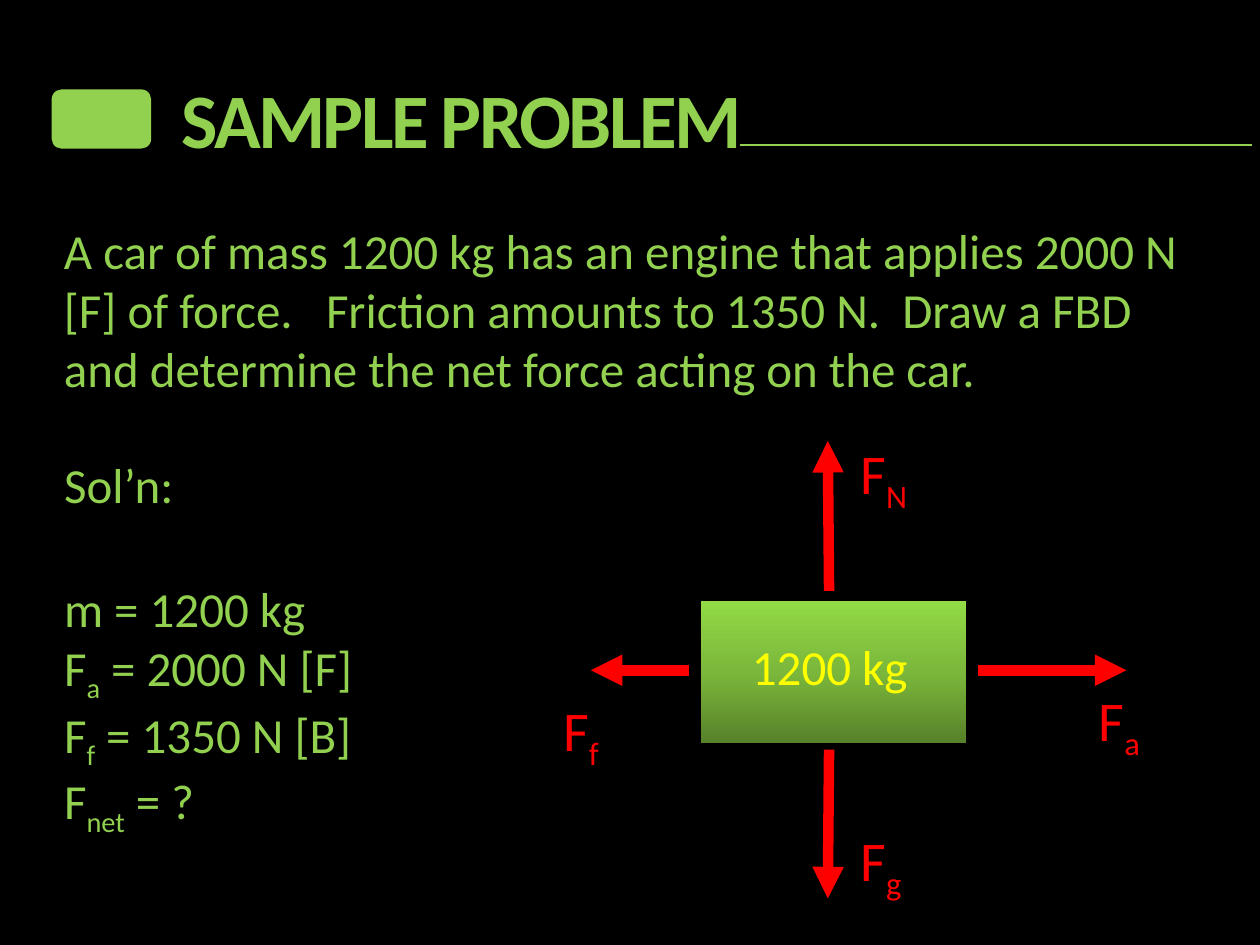
from copy import deepcopy
from lxml.etree import SubElement
from pptx import Presentation
from pptx.dml.color import RGBColor
from pptx.enum.shapes import MSO_CONNECTOR, MSO_SHAPE
from pptx.oxml.ns import qn
from pptx.util import Inches, Pt

GREEN = RGBColor(0x92, 0xD0, 0x50)
RED = RGBColor(0xFF, 0, 0)
YELLOW = RGBColor(0xFF, 0xFF, 0)
BLACK = RGBColor(0, 0, 0)
SHADES = [(0, RGBColor(0x57, 0x81, 0x2A)), (0.5, RGBColor(0x7B, 0xB7, 0x3B)),
          (1, RGBColor(0x92, 0xDA, 0x46))]

deck = Presentation()
deck.slide_width, deck.slide_height = Inches(10), Inches(7.5)
COL, ROW = deck.slide_width / 100, deck.slide_height / 75
slide = deck.slides.add_slide(deck.slide_layouts[6])
slide.background.fill.solid()
slide.background.fill.fore_color.rgb = BLACK
shapes = slide.shapes


def grid(x, y, w, h):
    return [int(n) for n in (x * COL, y * ROW, w * COL, h * ROW)]


def write(area, lines, size, color, wrap=True, **more):
    """Add a text box; the odd parts between underscores are subscripts."""
    frame = shapes.add_textbox(*grid(*area)).text_frame
    frame.word_wrap = wrap
    style = {"name": "Calibri", "size": Pt(size), **more}
    for i, line in enumerate(lines):
        para = frame.add_paragraph() if i else frame.paragraphs[0]
        for j, part in enumerate(line.split("_")):
            run = para.add_run()
            run.text = part
            for key, value in style.items():
                setattr(run.font, key, value)
            run.font.color.rgb = color
            if j % 2:
                run.font._element.set("baseline", "-25000")
    return frame


# Title with its tab and rule
title = write((13.4, 5.2, 86, 8.4), ["SAMPLE PROBLEM"], 44, GREEN, bold=True)
title.paragraphs[0].runs[0].font._element.set("spc", "-150")
tab = shapes.add_shape(MSO_SHAPE.ROUNDED_RECTANGLE, *grid(4.1, 7.1, 7.9, 4.7))
tab.shadow.inherit = False
tab.fill.solid()
tab.fill.fore_color.rgb = GREEN
tab.line.fill.background()

# Problem and given values
write((4.1, 17, 92.3, 15.1),
      ["A car of mass 1200 kg has an engine that applies 2000 N [F] of force.   "
       "Friction amounts to 1350 N.  Draw a FBD and determine the net force "
       "acting on the car."], 28, GREEN)
write((4.1, 35.6, 11.2, 5.7), ["Sol’n:"], 28, GREEN, wrap=False)
write((4.1, 45.4, 29.9, 19.9),
      ["m = 1200 kg", "F_a_ = 2000 N [F]", "F_f_ = 1350 N [B]", "F_net_ = ?"],
      28, GREEN)

# Car body, dark at the bottom
car = shapes.add_shape(MSO_SHAPE.RECTANGLE, *grid(55.6, 47.7, 21.1, 11.3))
car.shadow.inherit = False
car.line.fill.background()
car.fill.gradient()
car.fill.gradient_angle = 90
stops = car._element.spPr.find(".//" + qn("a:gsLst"))
stops.insert(1, deepcopy(stops[0]))
for stop, (place, shade) in zip(car.fill.gradient_stops, SHADES):
    stop.position = place
    stop.color.rgb = shade
write((58.7, 50, 15.7, 5.7), ["1200 kg"], 28, YELLOW)

# Force labels
for name, x, y in [("F_a", 86.2, 53.9), ("F_g", 67.3, 65),
                   ("F_N", 67.3, 34.3), ("F_f", 43.7, 54.7)]:
    write((x, y, 7.1, 6.4), [name], 32, RED)

# Title rule, then force arrows: ends, colour, width, arrowhead
for ends, color, width, head in [
        ((58.7, 11.5, 99.4, 11.5), GREEN, 0.75, False),
        ((77.6, 53.2, 89.4, 53.2), RED, 6, True),
        ((65.8, 59.5, 65.7, 71.3), RED, 6, True),
        ((65.8, 46.9, 65.7, 35), RED, 6, True),
        ((54.7, 53.2, 46.9, 53.2), RED, 6, True)]:
    line = shapes.add_connector(MSO_CONNECTOR.STRAIGHT, *grid(*ends))
    line.line.color.rgb = color
    line.line.width = Pt(width)
    if head:
        SubElement(line.line._get_or_add_ln(), qn("a:tailEnd"), type="triangle")
    SubElement(line._element.spPr, qn("a:effectLst"))

deck.save("out.pptx")
